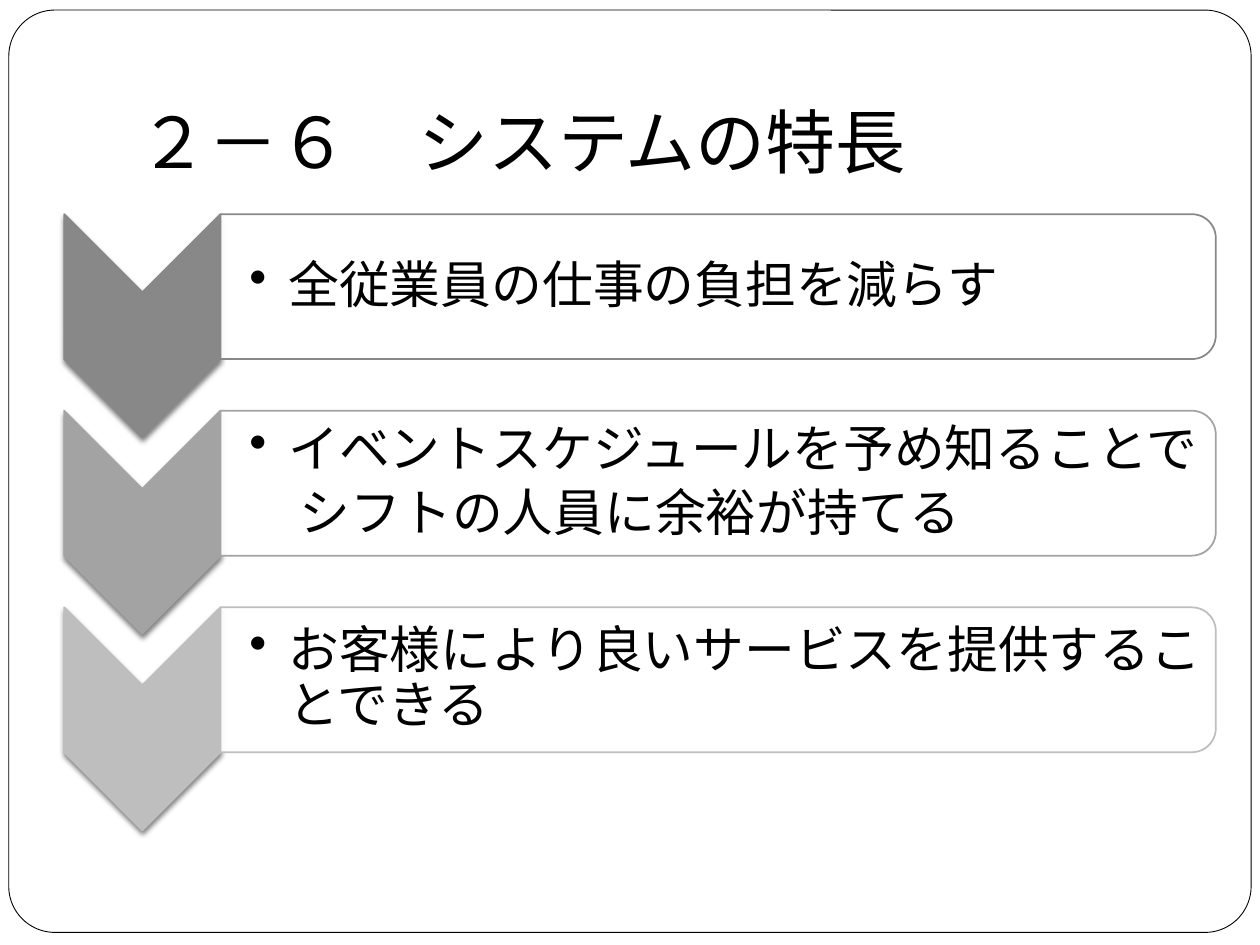
from math import cos, pi, sin

from lxml.etree import SubElement
from pptx import Presentation
from pptx.dml.color import RGBColor
from pptx.enum.shapes import MSO_SHAPE as Preset
from pptx.enum.text import MSO_ANCHOR as Anchor, MSO_AUTO_SIZE as AutoSize, PP_ALIGN as Align
from pptx.oxml.ns import qn
from pptx.util import Inches, Pt

COLORS = {"ink": "000000", "paper": "FFFFFF"}
STEPS = [
    ("888888", ["全従業員の仕事の負担を減らす"]),
    ("A3A3A3", ["イベントスケジュールを予め知ることで", "シフトの人員に余裕が持てる"]),
    ("BEBEBE", ["お客様により良いサービスを提供することできる"]),
]
LEFT, MIDDLE, RIGHT = 0.51, 1.75, 9.65
FIRST_ROW, ROW_PITCH, ROW_HEIGHT = 1.7, 1.56, 1.15
POINT_DEPTH = (MIDDLE - LEFT) / 2
CORNER = 0.19
ARC_STEPS = 12


def paint(shape, fill, line, width):
    shape.shadow.inherit = False
    shape.fill.solid()
    shape.fill.fore_color.rgb = RGBColor.from_string(fill)
    shape.line.color.rgb = RGBColor.from_string(line)
    shape.line.width = Pt(width)


def add_outline(points, fill, line):
    """Draw a closed polygon from points in inches."""
    corners = [(Inches(x), Inches(y)) for x, y in points]
    builder = slide.shapes.build_freeform(*corners[0])
    builder.add_line_segments(corners[1:], close=True)
    shape = builder.convert_to_shape()
    paint(shape, fill, line, 1)
    return shape


presentation = Presentation()
presentation.slide_width, presentation.slide_height = Inches(10), Inches(7.5)
slide = presentation.slides.add_slide(presentation.slide_layouts[5])

# Rounded frame, behind the title
frame = slide.shapes.add_shape(
    Preset.ROUNDED_RECTANGLE, Inches(0.07), Inches(0.08), Inches(9.86), Inches(7.32))
frame.adjustments[0] = 0.05
paint(frame, COLORS["paper"], COLORS["ink"], 0.5)
slide.shapes._spTree.insert(2, frame._element)

# Title
title = slide.shapes.title
title.left, title.top, title.width, title.height = map(Inches, (1, 0.3, 8.5, 1.25))
title_format = {
    "auto_size": AutoSize.NONE, "vertical_anchor": Anchor.BOTTOM, "word_wrap": True,
    "margin_bottom": Inches(0.1),
}
for name, value in title_format.items():
    setattr(title.text_frame, name, value)
paragraph = title.text_frame.paragraphs[0]
paragraph.text = "２－６　システムの特長"
paragraph.alignment = Align.LEFT
paragraph.font.size, paragraph.font.name = Pt(40), "Lato"
paragraph.font.color.rgb = RGBColor.from_string(COLORS["ink"])

# Steps: a downward chevron and a panel rounded on its right side
panel_format = {
    "vertical_anchor": Anchor.MIDDLE, "word_wrap": True, "margin_left": Inches(0.23),
    "margin_top": Inches(0.08), "margin_right": Inches(0.08), "margin_bottom": Inches(0.08),
}
paragraph_format = {"alignment": Align.LEFT, "line_spacing": 0.9, "space_after": Pt(5)}
for row, (color, lines) in enumerate(STEPS):
    top = FIRST_ROW + row * ROW_PITCH
    bottom = top + ROW_HEIGHT
    center = LEFT + POINT_DEPTH

    chevron = add_outline([
        (MIDDLE, top), (MIDDLE, bottom), (center, bottom + POINT_DEPTH),
        (LEFT, bottom), (LEFT, top), (center, top + POINT_DEPTH)], color, color)
    effects = chevron._element.spPr.find(qn("a:effectLst"))
    shadow = SubElement(effects, qn("a:outerShdw"), blurRad=str(Pt(3)), dist=str(Pt(2)),
                        dir="5400000", rotWithShape="0")
    shadow_color = SubElement(shadow, qn("a:srgbClr"), val=COLORS["ink"])
    SubElement(shadow_color, qn("a:alpha"), val="50000")

    angles = [pi / 2 * step / ARC_STEPS for step in range(ARC_STEPS + 1)]
    upper_arc = [(RIGHT - CORNER + CORNER * sin(angle), top + CORNER - CORNER * cos(angle))
                 for angle in angles]
    lower_arc = [(x, top + bottom - y) for x, y in reversed(upper_arc)]
    panel = add_outline([(MIDDLE, top), *upper_arc, *lower_arc, (MIDDLE, bottom)],
                        COLORS["paper"], color)
    panel_color = panel._element.spPr.find(qn("a:solidFill"))[0]
    SubElement(panel_color, qn("a:alpha"), val="90000")

    text_frame = panel.text_frame
    for name, value in panel_format.items():
        setattr(text_frame, name, value)
    for index, line in enumerate(lines):
        paragraph = text_frame.add_paragraph() if index else text_frame.paragraphs[0]
        for name, value in paragraph_format.items():
            setattr(paragraph, name, value)
        properties = paragraph._p.get_or_add_pPr()
        if index:
            properties.set("marL", str(Inches(0.4)))
        else:
            properties.set("marL", str(Inches(0.31)))
            properties.set("indent", str(Inches(-0.31)))
            SubElement(properties, qn("a:buChar"), char="•")
        run = paragraph.add_run()
        run.text = line
        run.font.size, run.font.name = Pt(29), "Times New Roman"
        run.font.color.rgb = RGBColor.from_string(COLORS["ink"])

presentation.save("out.pptx")
